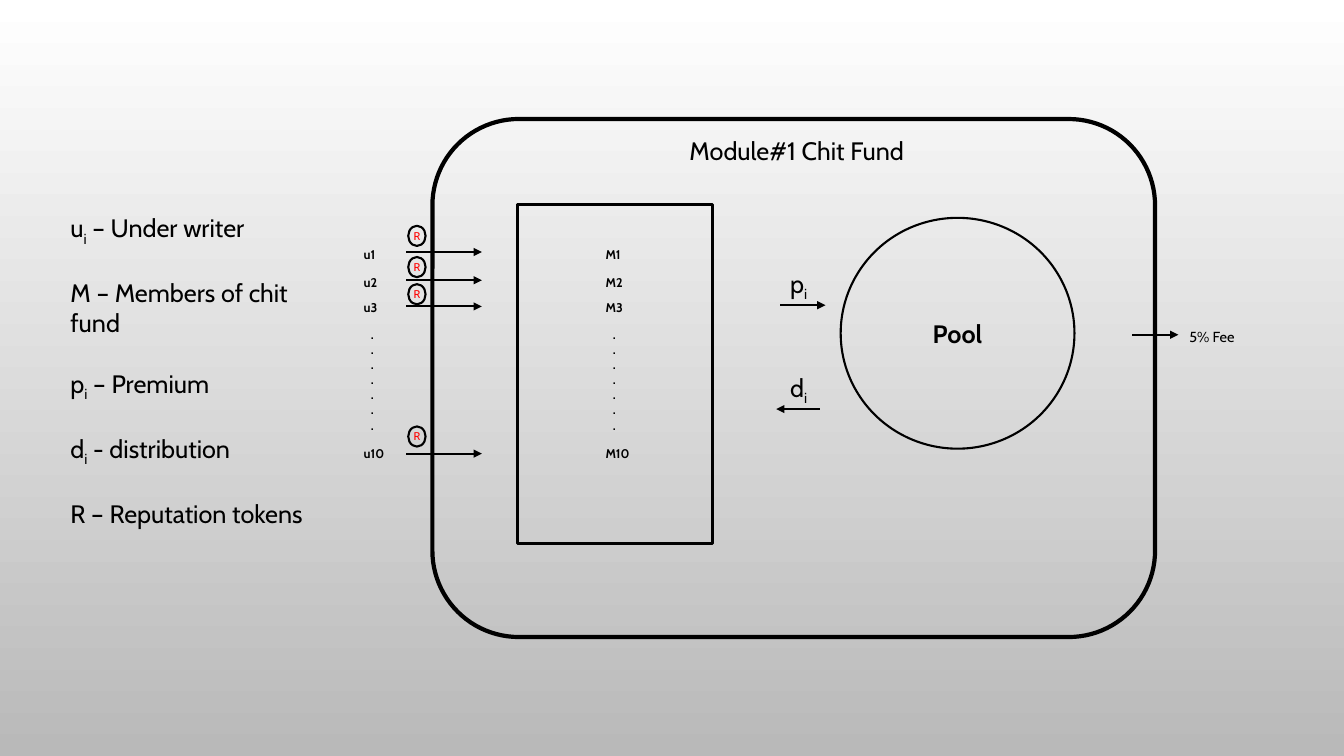
from dataclasses import dataclass

from pptx import Presentation
from pptx.dml.color import RGBColor
from pptx.enum.shapes import MSO_CONNECTOR, MSO_SHAPE
from pptx.enum.text import MSO_ANCHOR as Anchor, MSO_AUTO_SIZE as AutoSize, PP_ALIGN as Align
from pptx.oxml.ns import qn
from pptx.util import Pt
from lxml.etree import SubElement


@dataclass(frozen=True)
class Theme:
    font: str = "Cabin"
    ink: RGBColor = RGBColor(0, 0, 0)
    token: RGBColor = RGBColor(255, 0, 0)
    sky: RGBColor = RGBColor(255, 255, 255)
    ground: RGBColor = RGBColor(0xB9, 0xB9, 0xB9)
    body: float = 18
    label: float = 9
    badge: float = 8
    frame_line: float = 3
    members_line: float = 2.25
    thin_line: float = 1.5


@dataclass(frozen=True)
class Box:
    left: float
    top: float
    width: float
    height: float

    def inner(self, dx, dy, width, height):
        """Return a box offset from this box's top left corner."""
        return Box(self.left + dx, self.top + dy, width, height)

    def emu(self):
        return [Pt(v) for v in (self.left, self.top, self.width, self.height)]


THEME = Theme()
SUB = True
# participant number, then tops of label and token and height of arrow in the flow box
PARTICIPANTS = [(1, 11.5, 0, 18.7), (2, 31.7, 22.3, 38.9),
                (3, 49.7, 41.7, 57.6), (10, 153.3, 143.3, 162.7)]
DOTS_TOP, DOT_COUNT = 68.4, 7
LEGEND = [
    [("u",), ("i", SUB), (" – Under writer",)],
    [("M – Members of chit fund",)],
    [("p",), ("i", SUB), (" – Premium",)],
    [("d",), ("i", SUB), (" - distribution",)],
    [("R – Reputation tokens",)],
]


def set_all(target, values):
    for name, value in values.items():
        setattr(target, name, value)


def write(frame, paragraphs, size=THEME.body, color=THEME.ink, bold=False,
          align=Align.LEFT, gap=0, **frame_format):
    """Fill a text frame; each paragraph is a list of (text, is_subscript) pieces."""
    set_all(frame, {"word_wrap": False, "auto_size": AutoSize.NONE,
                    "vertical_anchor": Anchor.TOP, **frame_format})
    for index, pieces in enumerate(paragraphs):
        paragraph = frame.add_paragraph() if index else frame.paragraphs[0]
        set_all(paragraph, {"alignment": align, "space_after": Pt(gap)})
        for text, *subscript in pieces:
            run = paragraph.add_run()
            run.text = text
            set_all(run.font, {"name": THEME.font, "size": Pt(size), "bold": bold})
            run.font.color.rgb = color
            if subscript:
                run.font._element.set("baseline", "-25000")


def add_text(slide, box, paragraphs, **text_format):
    write(slide.shapes.add_textbox(*box.emu()).text_frame, paragraphs, **text_format)


def add_outline(slide, kind, box, weight):
    shape = slide.shapes.add_shape(kind, *box.emu())
    shape.shadow.inherit = False
    shape.fill.background()
    shape.line.color.rgb = THEME.ink
    shape.line.width = Pt(weight)
    return shape


def add_circle(slide, box, text, **text_format):
    circle = add_outline(slide, MSO_SHAPE.OVAL, box, THEME.thin_line)
    no_margins = dict.fromkeys(
        ("margin_left", "margin_top", "margin_right", "margin_bottom"), 0)
    write(circle.text_frame, [[(text,)]], align=Align.CENTER,
          vertical_anchor=Anchor.MIDDLE, **no_margins, **text_format)


def add_arrow(slide, start, end, y):
    arrow = slide.shapes.add_connector(MSO_CONNECTOR.STRAIGHT, Pt(start), Pt(y), Pt(end), Pt(y))
    arrow.line.color.rgb = THEME.ink
    arrow.line.width = Pt(THEME.thin_line)
    SubElement(arrow.line._get_or_add_ln(), qn("a:tailEnd"), type="triangle")
    SubElement(arrow._element.spPr, qn("a:effectLst"))


def paint_background(slide):
    fill = slide.background.fill
    fill.gradient()
    fill.gradient_angle = 270
    for stop, color in zip(fill.gradient_stops, (THEME.sky, THEME.ground)):
        stop.color.rgb = color


def draw_module(slide, box):
    add_outline(slide, MSO_SHAPE.ROUNDED_RECTANGLE, box, THEME.frame_line)
    title = slide.shapes.title
    heading = box.inner(176.4, 7.9, 169.2, 28.8)
    set_all(title, dict(zip(("left", "top", "width", "height"), heading.emu())))
    write(title.text_frame, [[("Module#1 Chit Fund",)]])
    add_outline(slide, MSO_SHAPE.RECTANGLE, box.inner(60.5, 61.2, 139.7, 241.9),
                THEME.members_line)


def draw_participant_column(slide, box, prefix):
    """List the numbered participants, with dots for those left out."""
    style = {"size": THEME.label, "bold": True}
    for number, label_top, _, _ in PARTICIPANTS:
        add_text(slide, box.inner(0, label_top, box.width, 18),
                 [[(f"{prefix}{number}",)]], **style)
    add_text(slide, box.inner(0, DOTS_TOP, 26.6, 94.3), [[(".",)]] * DOT_COUNT,
             align=Align.CENTER, **style)


def draw_token_flow(slide, box):
    for _, _, token_top, arrow_y in PARTICIPANTS:
        add_arrow(slide, box.left, box.left + box.width, box.top + arrow_y)
        add_circle(slide, box.inner(1.4, token_top, 12.4, 14.4), "R",
                   size=THEME.badge, color=THEME.token)


def draw_pool_exchange(slide, box):
    """Draw the premium arrow towards the pool and the distribution arrow back."""
    for symbol, top, start, end in (("p", 0, 2.9, 35.3), ("d", 74.2, 31, 0)):
        add_text(slide, box.inner(2.9, top, 26.6, 28.8), [[(symbol,), ("i", SUB)]])
        add_arrow(slide, box.left + start, box.left + end, box.top + top + 30)
    add_circle(slide, box.inner(46.1, -32.4, 167, 164.9), "Pool", bold=True)


def draw_fee(slide, box):
    add_arrow(slide, box.left, box.left + 33.1, box.top + 20.2)
    add_text(slide, box.inner(33.8, 0, 49.7, box.height), [[("5% Fee", SUB)]])


def draw_legend(slide, box):
    add_text(slide, box, LEGEND, gap=21.8, word_wrap=True, margin_right=Pt(28))


def main():
    deck = Presentation()
    set_all(deck, {"slide_width": Pt(960), "slide_height": Pt(540)})
    slide = deck.slides.add_slide(deck.slide_layouts[5])
    paint_background(slide)
    draw_module(slide, Box(308.9, 85, 516.2, 370))
    flow = Box(290.2, 161.3, 54, 180)
    draw_participant_column(slide, flow.inner(135.3, 0, 33.1, 180), "M")
    draw_participant_column(slide, flow.inner(-37.5, 0, 33.1, 180), "u")
    draw_token_flow(slide, flow)
    draw_pool_exchange(slide, Box(554.4, 188, 213, 165))
    draw_fee(slide, Box(808.6, 218.9, 83.5, 28.8))
    draw_legend(slide, Box(43.2, 148.3, 208.1, 203.8))
    deck.save("out.pptx")


if __name__ == "__main__":
    main()
